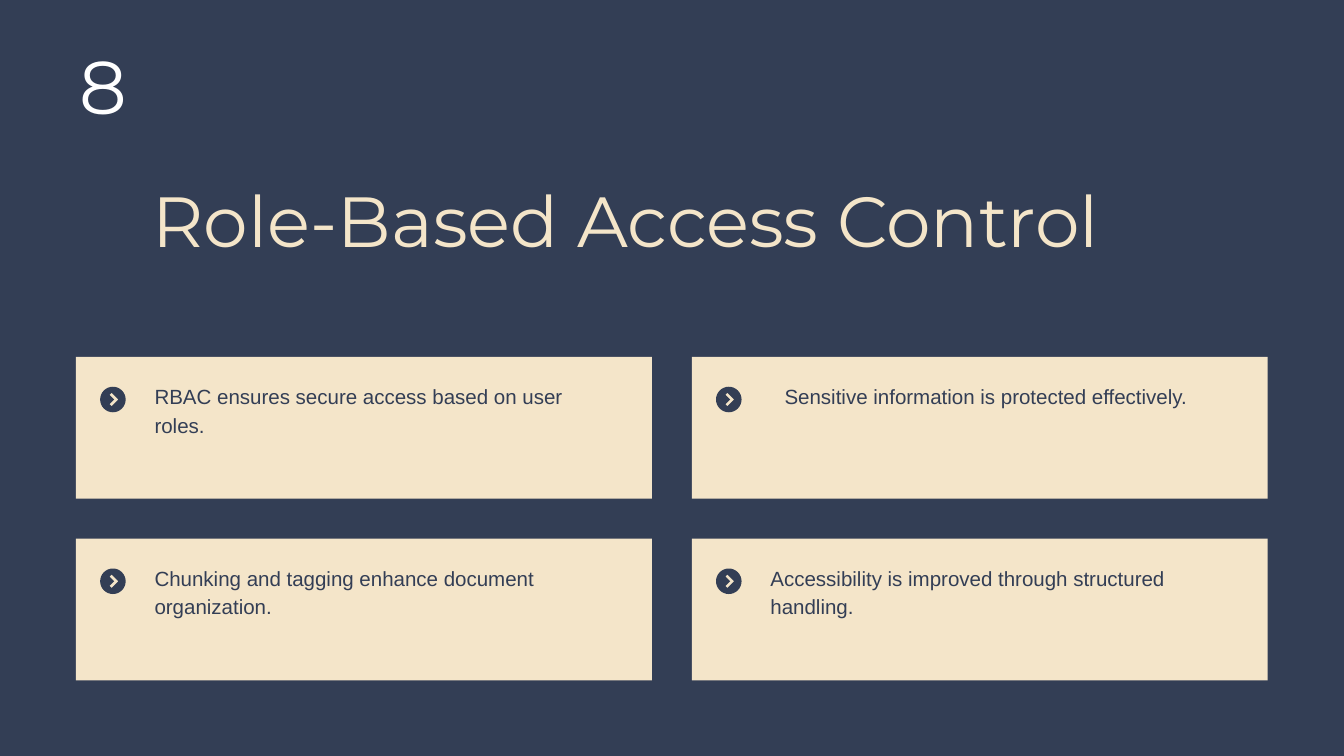
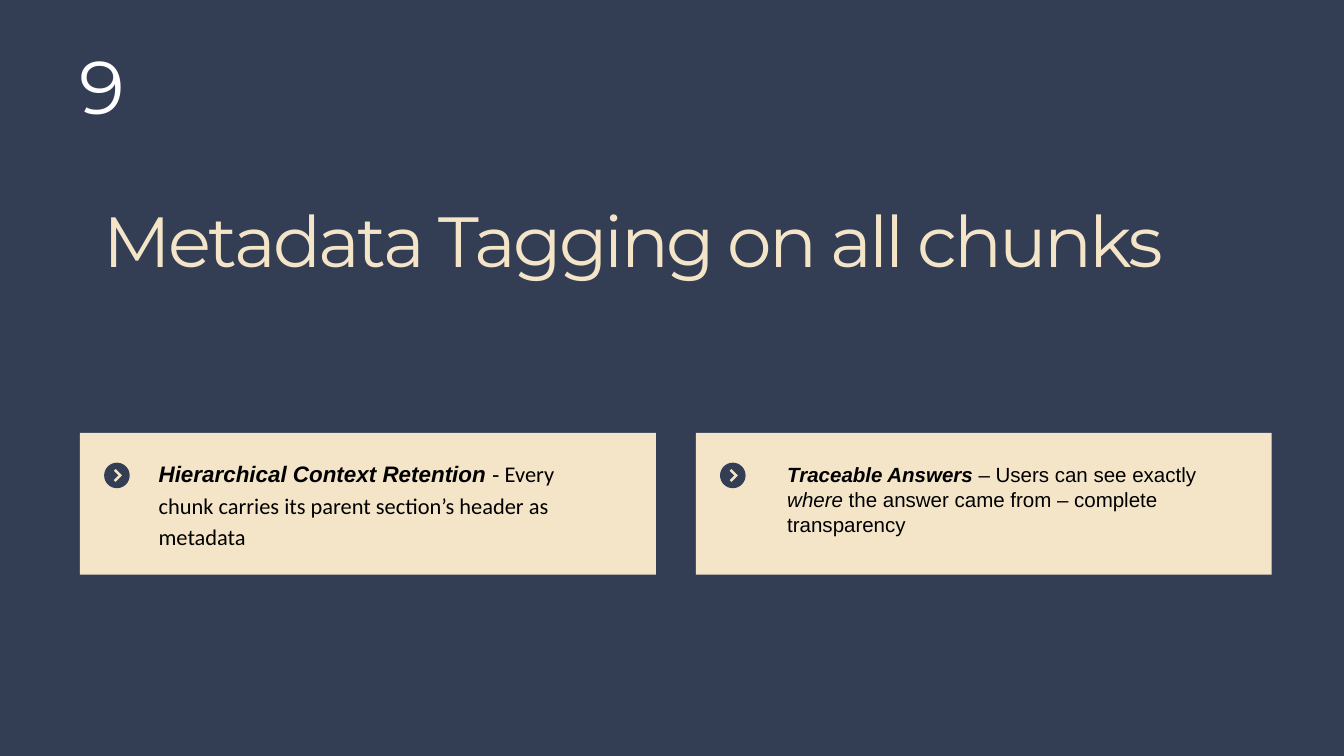
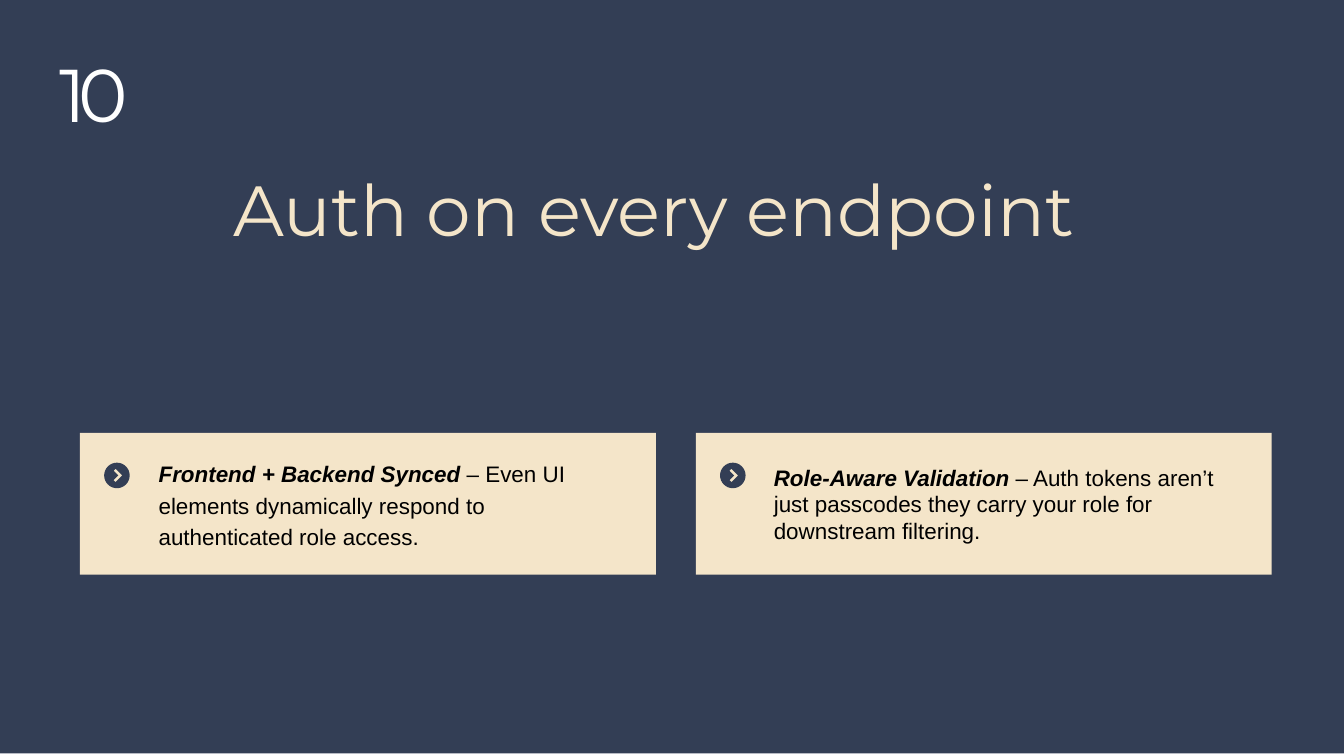
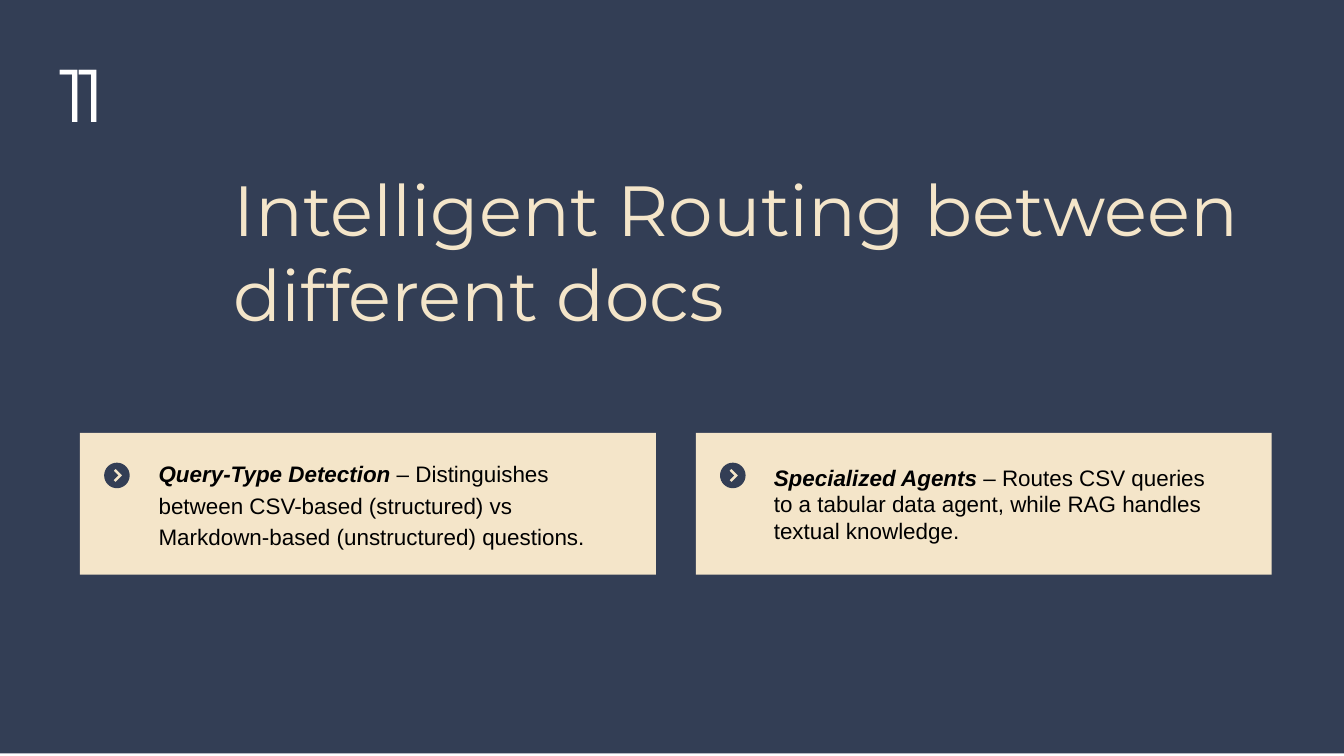
import math
from dataclasses import dataclass, replace

from pptx import Presentation
from pptx import util as u
from pptx.dml.color import RGBColor
from pptx.enum import shapes, text

COLORS = {"navy": "333E55", "cream": "F4E5C9", "white": "FFFFFF", "black": "000000"}
TITLE_FONT, BODY_FONT, ALT_FONT = "Montserrat", "Arial", "Calibri"

# All lengths are cells of a square grid: 200 columns by 112.5 rows.
COLUMNS, ROWS = 200, 112.5
CELL = u.Inches(20) / COLUMNS
CARD_WIDTH, CARD_HEIGHT, CARD_GAP = 85.7, 21.1, 5.95
ICON_RADIUS, ICON_STEPS = 1.9, 32
CHEVRON = [(-0.2, -1), (0.8, 0), (-0.2, 1), (-0.5, 0.7), (0.2, 0), (-0.5, -0.7)]


def cells(count):
    return u.Emu(round(count * CELL))


@dataclass(frozen=True)
class Box:
    left: float
    top: float
    width: float
    height: float

    def inner(self, part):
        """Move a part given relative to this box onto the page."""
        return replace(part, left=self.left + part.left, top=self.top + part.top)

    def lengths(self):
        return [cells(n) for n in (self.left, self.top, self.width, self.height)]


@dataclass(frozen=True)
class TextStyle:
    size: float
    color: str
    font: str = BODY_FONT
    inset: float = 0.1
    indent: float = 0.1
    right: float = 0
    line: float = 1.0
    align: text.PP_ALIGN = text.PP_ALIGN.LEFT
    tracking: float = 0


@dataclass(frozen=True)
class CardText:
    """Text of one card, its box being relative to the card."""
    spans: list
    box: Box
    style: TextStyle


HEADING = TextStyle(76, "cream", TITLE_FONT)
NUMBER = TextStyle(80, "white", TITLE_FONT, tracking=-8.6)
SHORT_POINT = TextStyle(22, "navy", inset=3.4, indent=11.7, right=8, line=1.17)
CENTERED_POINT = TextStyle(22, "navy", inset=4.4, indent=1.8, align=text.PP_ALIGN.CENTER)
LONG_POINT = replace(SHORT_POINT, size=24, color="black")
TRACE_POINT = TextStyle(22, "black", inset=4.4, indent=1.8)
SIDE_POINT = TextStyle(24, "black", inset=0.5, indent=1, right=1)

SHORT_BOX = Box(0, 0, CARD_WIDTH, 11.7)
LONG_BOX = Box(0, 0, CARD_WIDTH, 17.1)
CENTERED_BOX = Box(0, 0, CARD_WIDTH, 7.9)
TRACE_BOX = Box(11.8, 0, 68.7, 15.3)
SIDE_BOX = Box(10.6, 4.1, 69.2, 13.1)


def paint(shape, color):
    shape.fill.solid()
    shape.fill.fore_color.rgb = RGBColor.from_string(COLORS[color])
    shape.line.fill.background()
    shape.shadow.inherit = False


def add_panel(page, box, color):
    paint(page.shapes.add_shape(shapes.MSO_SHAPE.RECTANGLE, *box.lengths()), color)


def add_text(page, box, style, spans):
    """Write one paragraph; a span is (words, flags b and i, optional font)."""
    frame = page.shapes.add_textbox(*box.lengths()).text_frame
    frame.word_wrap = True
    frame.margin_left = frame.margin_right = frame.margin_bottom = 0
    frame.margin_top = cells(style.inset)
    para = frame.paragraphs[0]
    para.alignment, para.line_spacing = style.align, style.line
    para.font.size = u.Pt(style.size)
    para.font.color.rgb = RGBColor.from_string(COLORS[style.color])
    same_font = all(len(span) == 2 for span in spans)
    if same_font:
        para.font.name = style.font
    properties = para._p.get_or_add_pPr()
    properties.set("marL", str(cells(style.indent)))
    properties.set("marR", str(cells(style.right)))
    for words, flags, *font in spans:
        span = para.add_run()
        span.text = words
        if flags:
            span.font.bold, span.font.italic = "b" in flags, "i" in flags
        if not same_font:
            span.font.name = font[0] if font else style.font
        if style.tracking:
            span._r.get_or_add_rPr().set("spc", str(round(style.tracking * 100)))


def add_icon(page, card):
    """Draw a disc with a chevron cut out of it."""
    center_x, center_y = card.left + 5.5, card.top + 6.35
    turn = 2 * math.pi / ICON_STEPS
    disc = [(ICON_RADIUS * math.cos(n * turn), ICON_RADIUS * math.sin(n * turn))
            for n in range(ICON_STEPS)]
    builder = None
    for outline in (disc, CHEVRON[::-1]):
        points = [(cells(center_x + x), cells(center_y + y)) for x, y in outline]
        if builder is None:
            builder = page.shapes.build_freeform(*points[0])
        else:
            builder.move_to(*points[0])
        builder.add_line_segments(points[1:], close=True)
    paint(builder.convert_to_shape(), "navy")


def add_card(page, card, content):
    add_panel(page, card, "cream")
    add_icon(page, card)
    add_text(page, card.inner(content.box), content.style, content.spans)


def add_cards(page, left, top, contents):
    """Fill a grid of two columns, row by row."""
    for index, content in enumerate(contents):
        row, column = divmod(index, 2)
        card = Box(left + column * (CARD_WIDTH + CARD_GAP),
                   top + row * (CARD_HEIGHT + CARD_GAP), CARD_WIDTH, CARD_HEIGHT)
        add_card(page, card, content)


def add_page(deck, number, number_box, title, title_box, origin, contents,
             rise=0, title_tracking=0):
    page = deck.slides.add_slide(deck.slide_layouts[6])
    add_panel(page, Box(0, -rise, COLUMNS, ROWS), "navy")
    add_text(page, title_box, replace(HEADING, tracking=title_tracking), [(title, "")])
    add_cards(page, *origin, contents)
    add_text(page, number_box, NUMBER, [(number, "")])


def short_point(words):
    return CardText([(words, "")], SHORT_BOX, SHORT_POINT)


def topic_pair(left_topic, left_words, right_topic, right_words):
    return [CardText([(left_topic, "bi"), (left_words, "")], LONG_BOX, LONG_POINT),
            CardText([(right_topic, "bi"), (right_words, "")], SIDE_BOX, SIDE_POINT)]


def main():
    deck = Presentation()
    deck.slide_width, deck.slide_height = cells(COLUMNS), cells(ROWS)
    one_digit, two_digits = Box(11.8, 5.9, 6.6, 13.6), Box(8.7, 7.1, 17.4, 13.6)
    pair_origin = (11.9, 64.4)

    add_page(deck, "8", one_digit, "Role-Based Access Control",
             Box(22.6, 26.2, 175.5, 12.9), (11.3, 53.1), [
                 short_point("RBAC ensures secure access based on user roles."),
                 CardText([("Sensitive information is protected effectively.", "")],
                          CENTERED_BOX, CENTERED_POINT),
                 short_point("Chunking and tagging enhance document organization."),
                 short_point("Accessibility is improved through structured handling."),
             ])

    add_page(deck, "9", one_digit, "Metadata Tagging on all chunks",
             Box(15.3, 29.1, 187.5, 12.9), pair_origin, [
                 CardText([("Hierarchical Context Retention ", "bi"), ("-", ""),
                           (" Every chunk carries its parent section’s header as metadata",
                            "", ALT_FONT)], LONG_BOX, LONG_POINT),
                 CardText([("Traceable Answers ", "bi"), ("– Users can see exactly ", ""),
                           ("where", "i"),
                           (" the answer came from – complete transparency", "")],
                          TRACE_BOX, TRACE_POINT),
             ], title_tracking=-3)

    add_page(deck, "10", two_digits, "Auth on every endpoint",
             Box(34.7, 24.5, 152.6, 12.9), pair_origin, topic_pair(
                 "Frontend + Backend Synced ",
                 "– Even UI elements dynamically respond to authenticated role access.",
                 "Role-Aware Validation ",
                 "– Auth tokens aren’t just passcodes they carry your role for "
                 "downstream filtering."), rise=0.4)

    add_page(deck, "11", two_digits, "Intelligent Routing between different docs",
             Box(34.7, 24.5, 152.6, 25.7), pair_origin, topic_pair(
                 "Query-Type Detection ",
                 "– Distinguishes between CSV-based (structured) vs Markdown-based "
                 "(unstructured) questions.",
                 "Specialized Agents ",
                 "– Routes CSV queries to a tabular data agent, while RAG handles "
                 "textual knowledge."), rise=0.4)

    deck.save("out.pptx")


if __name__ == "__main__":
    main()
